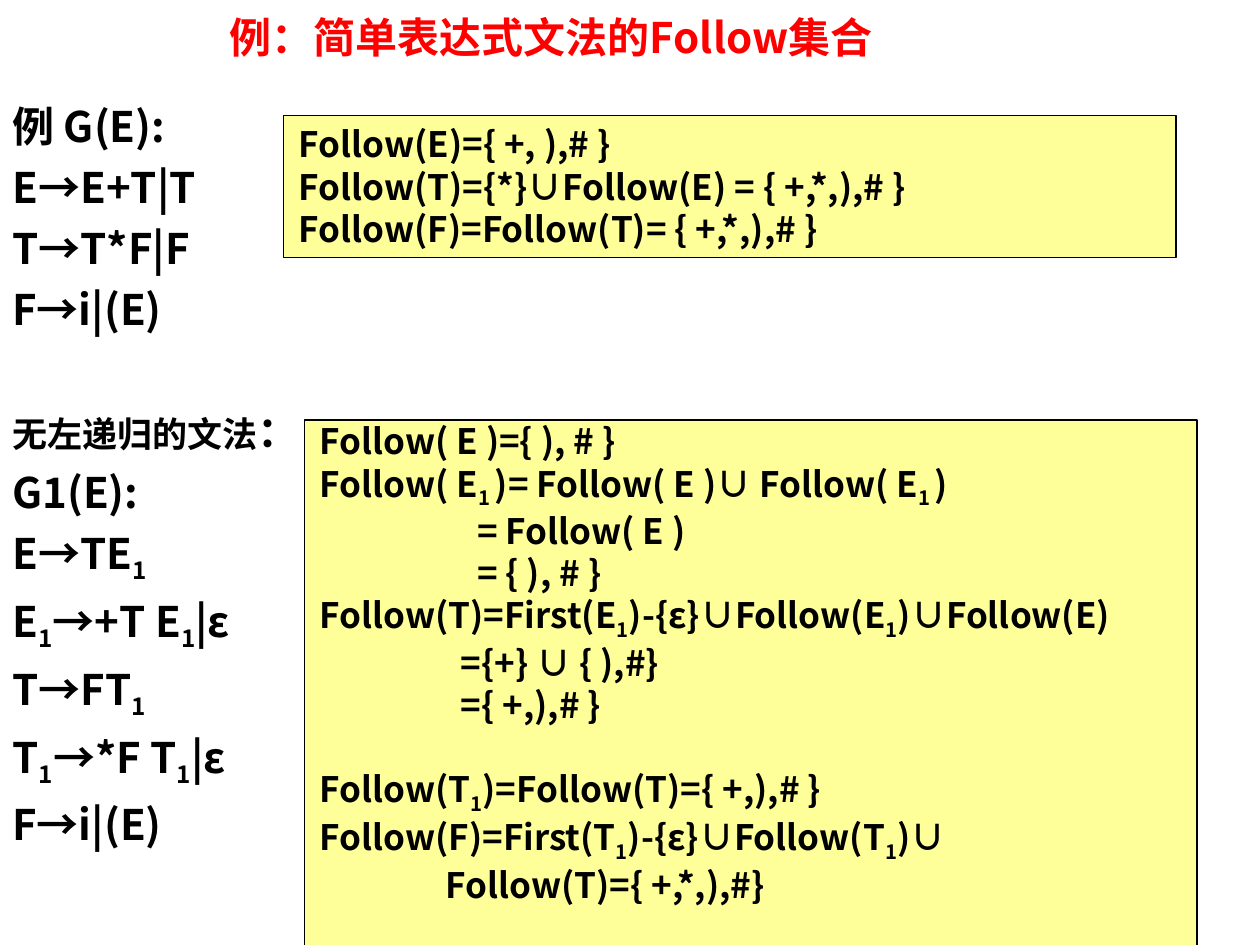
import pptx
import pptx.util
import pptx.dml.color
import pptx.enum.shapes
import pptx.enum.text

FONT = "Noto Sans CJK SC"
MSO_ANCHOR = pptx.enum.text.MSO_ANCHOR
PP_ALIGN = pptx.enum.text.PP_ALIGN


def rgb(hex_color):
    return pptx.dml.color.RGBColor.from_string(hex_color)


def add_text(p, text, size=20, color="000000", before=0, indent=0, align=PP_ALIGN.LEFT):
    """Append text to p; parts between underscores become subscripts."""
    p.alignment = align
    p.space_before = pptx.util.Pt(before)
    if indent:
        pPr = p._p.get_or_add_pPr()
        pPr.set("marL", str(pptx.util.Inches(indent)))
        pPr.set("indent", "0")
    for i, part in enumerate(text.split("_")):
        if not part:
            continue
        r = p.add_run()
        r.text = part
        r.font.size = pptx.util.Pt(size)
        r.font.name = FONT
        r.font.bold = True
        r.font.color.rgb = rgb(color)
        rPr = r._r.get_or_add_rPr()
        ea = rPr.makeelement(pptx.oxml.ns.qn("a:ea"), {"typeface": FONT})
        rPr.find(pptx.oxml.ns.qn("a:latin")).addnext(ea)
        if i % 2:
            rPr.set("baseline", "-25000")


class Deck:
    """Slide on a grid of 120 columns by 90 rows."""

    def __init__(self):
        self.prs = pptx.Presentation()
        self.prs.slide_width = pptx.util.Inches(10)
        self.prs.slide_height = pptx.util.Inches(7.5)
        self.s = self.prs.slides.add_slide(self.prs.slide_layouts[6])

    def cells(self, col, row, cols, rows):
        w, h = self.prs.slide_width / 120, self.prs.slide_height / 90
        return [int(n) for n in (col * w, row * h, cols * w, rows * h)]

    def fill_text(self, sp, paragraphs, anchor=MSO_ANCHOR.TOP):
        """Each paragraph is a list of (text, format) pieces."""
        tf = sp.text_frame
        tf.word_wrap = True
        tf.vertical_anchor = anchor
        for i, pieces in enumerate(paragraphs):
            p = tf.paragraphs[0] if i == 0 else tf.add_paragraph()
            for text, style in pieces:
                add_text(p, text, **style)

    def text(self, grid, paragraphs, **kwargs):
        self.fill_text(self.s.shapes.add_textbox(*self.cells(*grid)), paragraphs, **kwargs)

    def panel(self, grid, lines, pad=0):
        rect = pptx.enum.shapes.MSO_SHAPE.RECTANGLE
        sp = self.s.shapes.add_shape(rect, *self.cells(*grid))
        sp.shadow.inherit = False
        sp.fill.solid()
        sp.fill.fore_color.rgb = rgb("FFFF99")
        sp.line.color.rgb = rgb("000000")
        sp.line.width = pptx.util.Pt(0.75)
        tf = sp.text_frame
        tf.margin_left, tf.margin_right = pptx.util.Inches(0.12), 0
        tf.margin_top = tf.margin_bottom = pptx.util.Inches(pad)
        self.fill_text(sp, [[line] for line in lines])


def rules(*lines):
    return [[(line, dict(size=24, before=6))] for line in lines]


def main():
    deck = Deck()
    title = dict(size=24, color="FF0000", align=PP_ALIGN.CENTER)
    deck.text((0, 0, 105, 7), [[("例：简单表达式文法的Follow集合", title)]],
              anchor=MSO_ANCHOR.MIDDLE)

    grammar = [[("例 G(E):", dict(size=24))]]
    grammar += rules("E→E+T|T", "T→T*F|F", "F→i|(E)")
    grammar.append([("无左递归的文法", dict(before=41)), ("：", dict(size=24, before=41))])
    grammar += rules("G1(E):", "E→TE_1_", "E_1_→+T E_1_|ε", "T→FT_1_",
                     "T_1_→*F T_1_|ε", "F→i|(E)")
    deck.text((0, 9, 28, 76), grammar)

    deck.panel((29, 40, 85, 50.2), [
        ("Follow( E )={ ), # }", {}),
        ("Follow( E_1 _)= Follow( E )∪ Follow( E_1 _)", {}),
        ("= Follow( E )", dict(indent=1.25)),
        ("= { ), # }", dict(indent=1.25)),
        ("Follow(T)=First(E_1_)-{ε}∪Follow(E_1_)∪Follow(E)", {}),
        ("={+} ∪ { ),#}", dict(indent=1.12)),
        ("={ +,),# }", dict(indent=1.12)),
        ("Follow(T_1_)=Follow(T)={ +,),# }", dict(before=24)),
        ("Follow(F)=First(T_1_)-{ε}∪Follow(T_1_)∪", {}),
        ("Follow(T)={ +,*,),#}", dict(indent=1)),
    ])
    deck.panel((27, 11, 85, 13.5), [
        ("Follow(E)={ +, ),# }", {}),
        ("Follow(T)={*}∪Follow(E) = { +,*,),# }", {}),
        ("Follow(F)=Follow(T)= { +,*,),# }", {}),
    ], pad=0.06)
    deck.prs.save("out.pptx")


if __name__ == "__main__":
    main()
